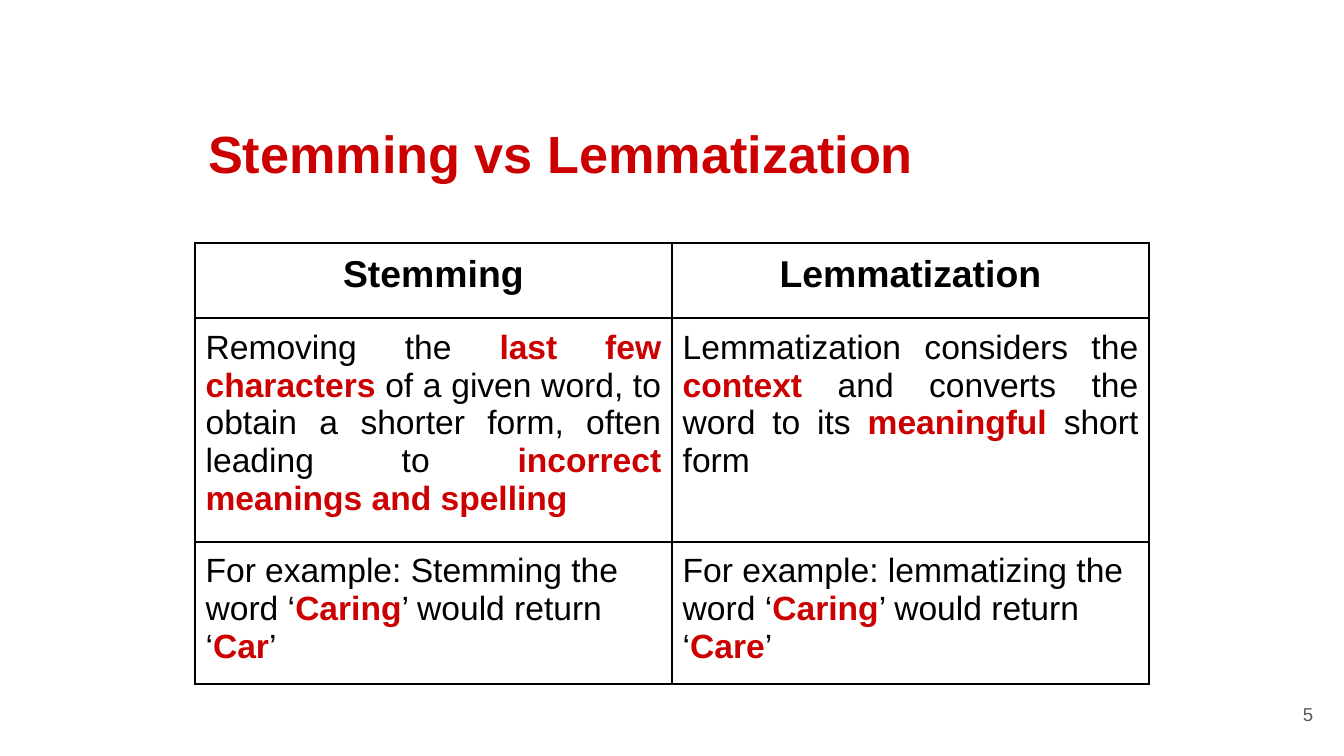
from lxml.etree import SubElement
from pptx import Presentation
from pptx.dml.color import RGBColor
from pptx.enum.text import MSO_ANCHOR, PP_ALIGN
from pptx.oxml.ns import qn
from pptx.util import Inches, Pt

HUES = {"ink": "000000", "red": "CC0000", "gray": "595959", "paper": "FFFFFF"}
HEAD = {"size": Pt(20), "bold": True}
BODY = {"size": Pt(18), "bold": False}
MARK = {"size": Pt(18), "bold": True}
EDGE = 1.2
WIDE = 10

# Text between asterisks is set in bold red.
ROWS = [
    (0.56, PP_ALIGN.CENTER, ["Stemming", "Lemmatization"]),
    (1.57, PP_ALIGN.JUSTIFY, [
        "Removing the *last few characters* of a given word, to obtain a "
        "shorter form, often leading to *incorrect meanings and spelling*",
        "Lemmatization considers the *context* and converts the word to its "
        "*meaningful *short form"]),
    (1, PP_ALIGN.LEFT, [
        "For example: Stemming the word ‘*Caring*’ would return ‘*Car*’",
        "For example: lemmatizing the word ‘*Caring*’ would return ‘*Care*’"]),
]


def color(name):
    return RGBColor.from_string(HUES[name])


def add_run(para, text, hue, style):
    run = para.add_run()
    run.text = text
    run.font.name = "Arial"
    for key, value in style.items():
        setattr(run.font, key, value)
    run.font.color.rgb = color(hue)


def add_label(slide, box, text, hue, style, align, anchor, pad):
    frame = slide.shapes.add_textbox(*map(Inches, box)).text_frame
    look = {"word_wrap": True, "vertical_anchor": anchor,
            "margin_left": Inches(0.1), "margin_right": Inches(0.1),
            "margin_top": Inches(pad), "margin_bottom": Inches(pad)}
    for key, value in look.items():
        setattr(frame, key, value)
    para = frame.paragraphs[0]
    para.alignment = align
    add_run(para, text, hue, style)


def add_edges(cell):
    """Draw a solid line on all four sides; call before filling the cell."""
    props = cell._tc.get_or_add_tcPr()
    for side in ("lnL", "lnR", "lnT", "lnB"):
        line = SubElement(props, qn(f"a:{side}"), w=str(Pt(EDGE)))
        fill = SubElement(line, qn("a:solidFill"))
        SubElement(fill, qn("a:srgbClr"), val=HUES["ink"])


def fill_cell(cell, text, align, style):
    for side in ("left", "right", "top", "bottom"):
        setattr(cell, f"margin_{side}", Inches(0.08))
    add_edges(cell)
    cell.fill.solid()
    cell.fill.fore_color.rgb = color("paper")
    para = cell.text_frame.paragraphs[0]
    para.alignment = align
    for i, part in enumerate(text.split("*")):
        if part:
            marked = i % 2 == 1
            add_run(para, part, "red" if marked else "ink",
                    MARK if marked else style)


def add_grid(slide, left, top, width):
    high = sum(row[0] for row in ROWS)
    count = len(ROWS[0][2])
    table = slide.shapes.add_table(
        len(ROWS), count, *map(Inches, (left, top, width, high))).table
    for col in table.columns:
        col.width = Inches(width / count)
    for r, (tall, align, texts) in enumerate(ROWS):
        table.rows[r].height = Inches(tall)
        for c, text in enumerate(texts):
            fill_cell(table.cell(r, c), text, align, BODY if r else HEAD)


def main():
    deck = Presentation()
    deck.slide_width, deck.slide_height = Inches(WIDE), Inches(WIDE * 9 / 16)
    slide = deck.slides.add_slide(deck.slide_layouts[6])
    add_label(slide, (9.27, 5.1, 0.6, 0.43), "5", "gray", {"size": Pt(10)},
              PP_ALIGN.RIGHT, MSO_ANCHOR.MIDDLE, 0.1)
    add_grid(slide, 1.45, 1.81, 7.1)
    add_label(slide, (1.45, 0.85, 6.12, 0.57), "Stemming vs Lemmatization",
              "red", {"size": Pt(28), "bold": True},
              PP_ALIGN.LEFT, MSO_ANCHOR.TOP, 0.05)
    deck.save("out.pptx")


if __name__ == "__main__":
    main()
